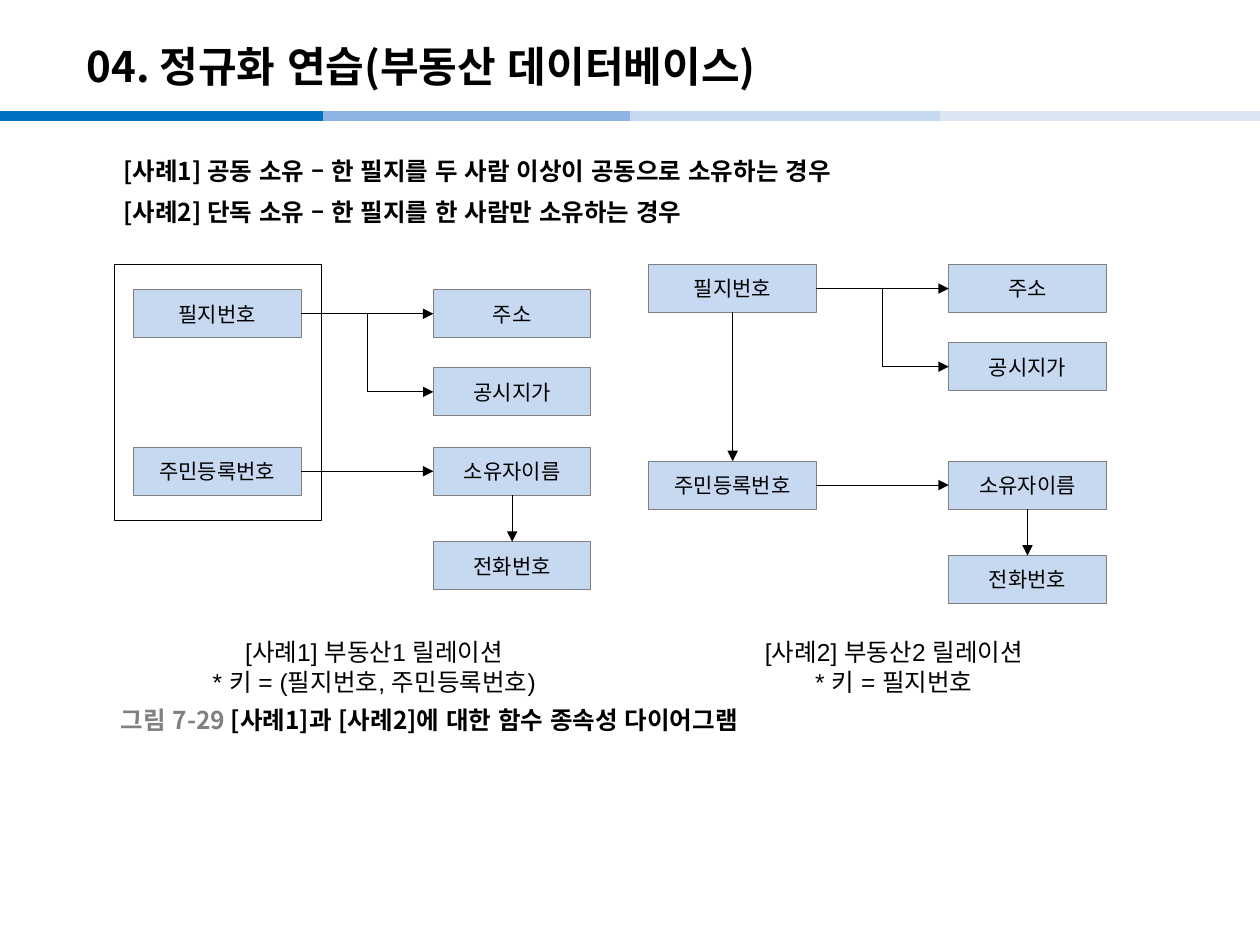
from dataclasses import dataclass

import pptx
import pptx.dml.color
import pptx.enum.lang
import pptx.enum.shapes
import pptx.enum.text
import pptx.oxml
import pptx.oxml.ns
import pptx.util

Inches = pptx.util.Inches
Align = pptx.enum.text.PP_ALIGN
Anchor = pptx.enum.text.MSO_ANCHOR
Connector = pptx.enum.shapes.MSO_CONNECTOR
RECTANGLE = pptx.enum.shapes.MSO_SHAPE.RECTANGLE
TOP, LEFT, BOTTOM, RIGHT = range(4)  # connection sites of a rectangle


@dataclass(frozen=True)
class Theme:
    font: str = "Noto Sans CJK KR"
    note_font: str = "Arial"
    ink: str = "000000"
    paper: str = "FFFFFF"
    muted: str = "808080"
    box: str = "C6D9F1"
    bands: tuple = ("0070C0", "8EB4E3", "C6D9F1", "DCE6F2")
    title_size: int = 24
    body_size: int = 14
    box_size: int = 12
    hairline: float = 0.5
    band_width: int = 6


@dataclass(frozen=True)
class Grid:
    """Columns and rows shared by both dependency diagrams, in inches."""
    origins: tuple = (1.06, 5.15)
    attribute_column: float = 2.38
    key_width: float = 1.33
    attribute_width: float = 1.25
    row_height: float = 0.38
    row_pitch: float = 0.62


THEME = Theme()
GRID = Grid()


def color(value):
    return pptx.dml.color.RGBColor.from_string(value)


def add_run(paragraph, text, size, ink=THEME.ink, font=THEME.font, bold=False):
    run = paragraph.add_run()
    run.text = text
    run.font.size = pptx.util.Pt(size)
    run.font.bold = bold
    run.font.name = font
    run.font.language_id = pptx.enum.lang.MSO_LANGUAGE_ID.KOREAN
    run.font.color.rgb = color(ink)
    east_asian = pptx.oxml.parse_xml(
        f'<a:ea {pptx.oxml.ns.nsdecls("a")} typeface="{THEME.font}"/>')
    run.font._element.find(pptx.oxml.ns.qn("a:latin")).addnext(east_asian)


def set_indent(paragraph, margin, first_line=0):
    properties = paragraph._p.get_or_add_pPr()
    properties.set("marL", str(Inches(margin)))
    properties.set("indent", str(Inches(first_line)))


def add_text_box(slide, left, top, width, height, anchor=Anchor.TOP):
    shape = slide.shapes.add_textbox(*map(Inches, (left, top, width, height)))
    frame = shape.text_frame
    frame.word_wrap = True
    frame.vertical_anchor = anchor
    return frame


def add_rectangle(slide, left, top, width, height, fill, line):
    shape = slide.shapes.add_shape(RECTANGLE, *map(Inches, (left, top, width, height)))
    shape.shadow.inherit = False
    shape.fill.solid()
    shape.fill.fore_color.rgb = color(fill)
    shape.line.color.rgb = color(line)
    shape.line.width = pptx.util.Pt(THEME.hairline)
    return shape


def add_box(slide, text, left, top, width, side_inset=0.1):
    shape = add_rectangle(slide, left, top, width, GRID.row_height, THEME.box, THEME.muted)
    frame = shape.text_frame
    frame.margin_left = frame.margin_right = Inches(side_inset)
    frame.vertical_anchor = Anchor.MIDDLE
    paragraph = frame.paragraphs[0]
    paragraph.alignment = Align.CENTER
    add_run(paragraph, text, THEME.box_size)
    return shape


def add_line(slide, points, ink, width, kind=Connector.STRAIGHT):
    connector = slide.shapes.add_connector(kind, *map(Inches, points))
    connector.line.color.rgb = color(ink)
    connector.line.width = pptx.util.Pt(width)
    connector._element.spPr.append(
        pptx.oxml.parse_xml(f'<a:effectLst {pptx.oxml.ns.nsdecls("a")}/>'))
    return connector


def add_arrow(slide, source, source_site, target, target_site, kind=Connector.STRAIGHT):
    connector = add_line(slide, (0, 0, 0, 0), THEME.ink, THEME.hairline, kind)
    connector.begin_connect(source, source_site)
    connector.end_connect(target, target_site)
    connector.line._get_or_add_ln().append(
        pptx.oxml.parse_xml(f'<a:tailEnd {pptx.oxml.ns.nsdecls("a")} type="triangle"/>'))


def add_header(slide):
    for start, ink in zip((0, 2.56, 5, 7.46), THEME.bands):
        add_line(slide, (start, 0.92, start + 2.56, 0.92), ink, THEME.band_width)
    frame = add_text_box(slide, 0.59, 0.22, 8.27, 0.6, Anchor.MIDDLE)
    add_run(frame.paragraphs[0], "04. 정규화 연습(부동산 데이터베이스)",
            THEME.title_size, bold=True)


def add_cases(slide):
    frame = add_text_box(slide, 0.59, 1.19, 8.82, 5.98)
    cases = ("[사례1] 공동 소유 – 한 필지를 두 사람 이상이 공동으로 소유하는 경우",
             "[사례2] 단독 소유 – 한 필지를 한 사람만 소유하는 경우")
    for index, text in enumerate(cases):
        paragraph = frame.add_paragraph() if index else frame.paragraphs[0]
        set_indent(paragraph, 0.49, -0.2)
        paragraph.space_before = pptx.util.Pt(0.2 * THEME.body_size)
        paragraph.space_after = pptx.util.Pt(4)
        add_run(paragraph, text, THEME.body_size, bold=True)


def add_diagram(slide, left, lot_top, owner_top, owner_depends_on_lot):
    """Draw the lot and owner keys with the attributes that depend on them."""
    attribute_left = left + GRID.attribute_column

    def key(text, top, inset=0.1):
        return add_box(slide, text, left, top, GRID.key_width, inset)

    def attribute(text, top):
        return add_box(slide, text, attribute_left, top, GRID.attribute_width)

    lot = key("필지번호", lot_top)
    address = attribute("주소", lot_top)
    price = attribute("공시지가", lot_top + GRID.row_pitch)
    resident = key("주민등록번호", owner_top, 0.04)
    owner = attribute("소유자이름", owner_top)
    phone = attribute("전화번호", owner_top + 0.75)

    add_arrow(slide, lot, RIGHT, address, LEFT)
    add_arrow(slide, lot, RIGHT, price, LEFT, Connector.ELBOW)
    add_arrow(slide, resident, RIGHT, owner, LEFT)
    add_arrow(slide, owner, BOTTOM, phone, TOP)
    if owner_depends_on_lot:
        add_arrow(slide, lot, BOTTOM, resident, TOP)


def add_note(slide, left, width, name, key):
    frame = add_text_box(slide, left, 5.01, width, 0.57)
    for index, text in enumerate((name, key)):
        paragraph = frame.add_paragraph() if index else frame.paragraphs[0]
        paragraph.alignment = Align.CENTER
        set_indent(paragraph, 0.5)
        add_run(paragraph, text, THEME.body_size, font=THEME.note_font)


def add_caption(slide):
    frame = add_text_box(slide, 0.86, 5.56, 5.8, 0.31, Anchor.MIDDLE)
    paragraph = frame.paragraphs[0]
    add_run(paragraph, "그림 7-29 ", THEME.body_size, THEME.muted, bold=True)
    add_run(paragraph, "[사례1]과 [사례2]에 대한 함수 종속성 다이어그램",
            THEME.body_size, bold=True)


def main():
    presentation = pptx.Presentation()
    presentation.slide_width, presentation.slide_height = Inches(10), Inches(7.5)
    slide = presentation.slides.add_slide(presentation.slide_layouts[6])

    add_header(slide)
    add_cases(slide)
    add_rectangle(slide, 0.91, 2.1, 1.64, 2.03, THEME.paper, THEME.ink)
    joint, single = GRID.origins
    add_diagram(slide, joint, 2.3, 3.55, owner_depends_on_lot=False)
    add_diagram(slide, single, 2.1, 3.66, owner_depends_on_lot=True)
    add_note(slide, 0.75, 3.94, "[사례1] 부동산1 릴레이션", "* 키 = (필지번호, 주민등록번호)")
    add_note(slide, 5.31, 3.07, "[사례2] 부동산2 릴레이션", "* 키 = 필지번호")
    add_caption(slide)
    presentation.save("out.pptx")


if __name__ == "__main__":
    main()
